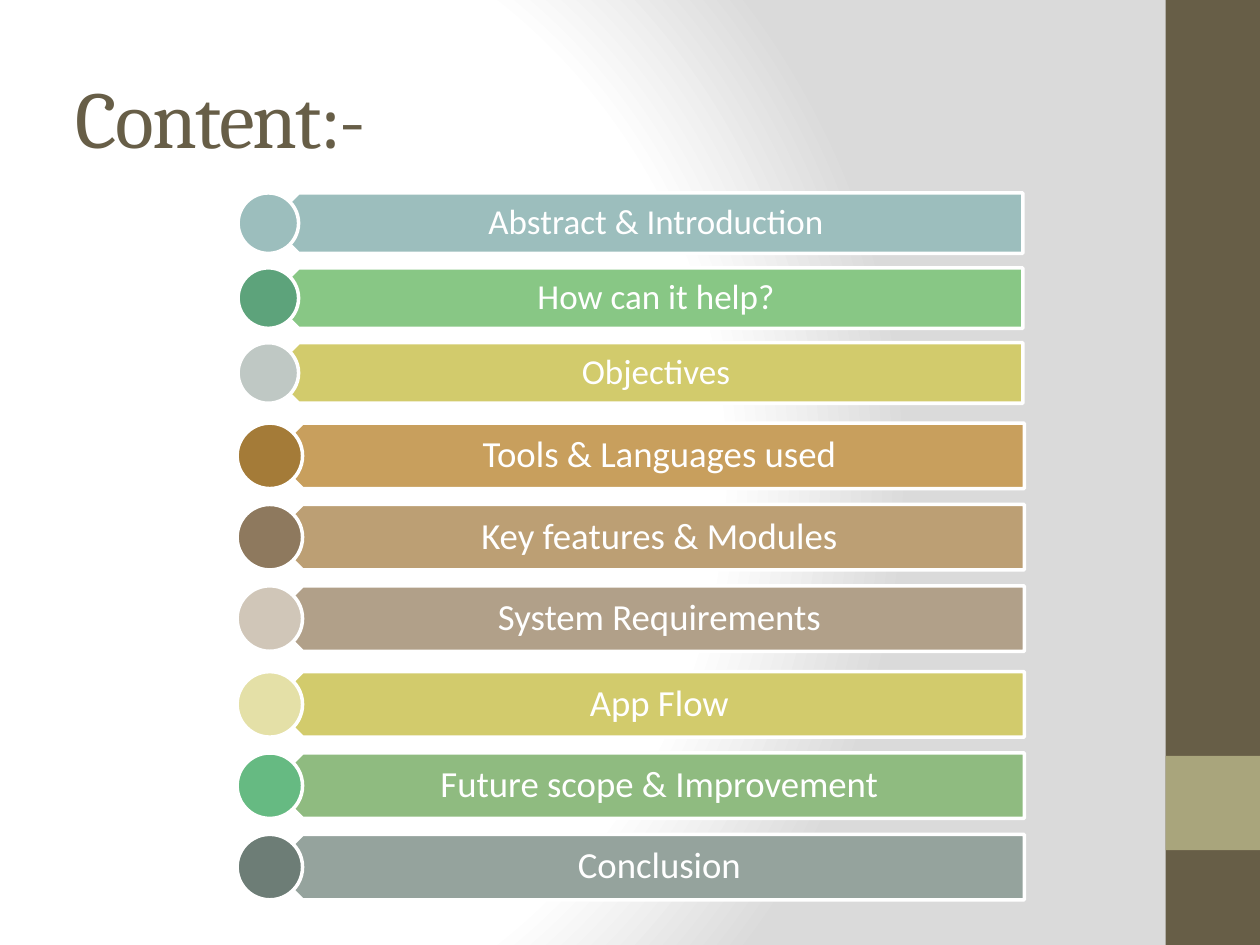
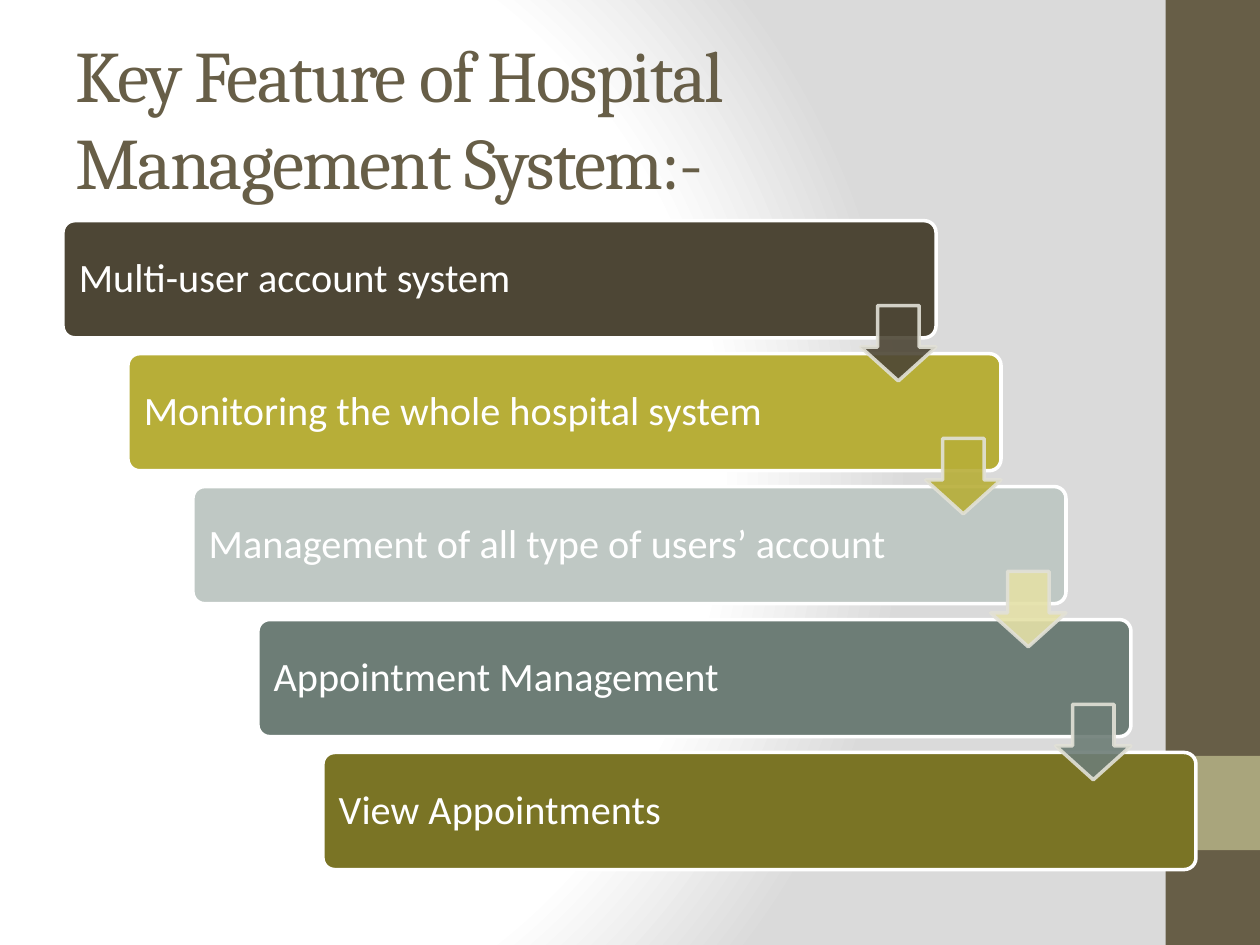
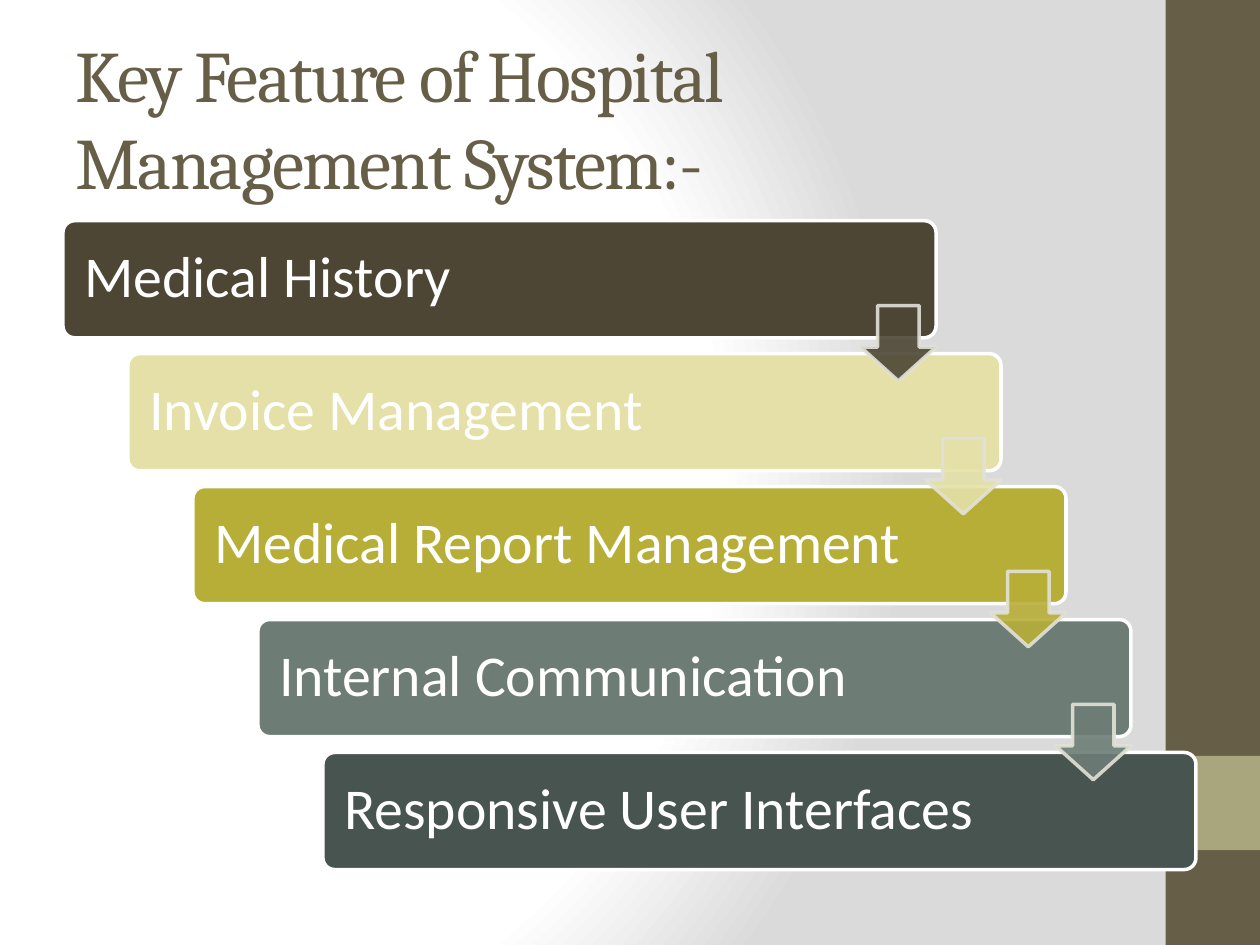
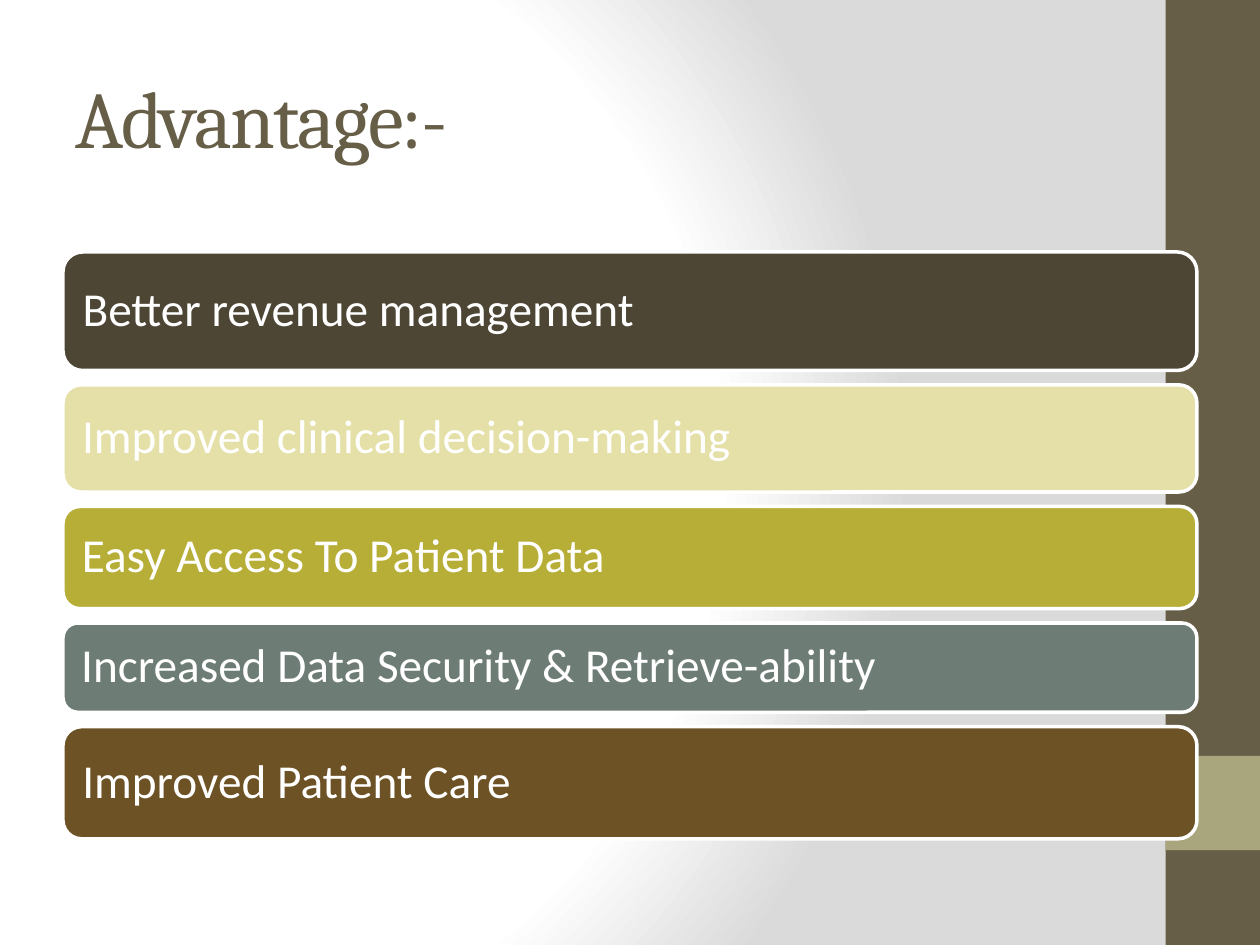
"""Build four slides that present a hospital management system."""
from dataclasses import dataclass

from lxml import etree
from pptx import Presentation
from pptx.dml.color import RGBColor
from pptx.enum.shapes import MSO_SHAPE
from pptx.enum.text import MSO_ANCHOR, PP_ALIGN
from pptx.oxml import parse_xml
from pptx.oxml.ns import nsdecls, qn
from pptx.presentation import Presentation as Deck
from pptx.shapes.autoshape import Shape
from pptx.slide import Slide
from pptx.util import Cm, Pt

RECTANGLE = MSO_SHAPE.RECTANGLE
ROUNDED = MSO_SHAPE.ROUNDED_RECTANGLE
PENTAGON = MSO_SHAPE.PENTAGON
DISC = MSO_SHAPE.OVAL
DOWN_ARROW = MSO_SHAPE.DOWN_ARROW
MIDDLE = MSO_ANCHOR.MIDDLE
LEFT = PP_ALIGN.LEFT
CENTER = PP_ALIGN.CENTER


@dataclass(frozen=True)
class Theme:
    """Colours, fonts and type sizes of the deck."""

    title_font: str = "Cambria"
    body_font: str = "Calibri"
    title_size: float = 46
    long_title_size: float = 41.4
    topic_size: float = 20
    large_topic_size: float = 21
    feature_size: float = 23
    large_feature_size: float = 33
    advantage_size: float = 27
    outline: float = 2
    white: str = "FFFFFF"
    backdrop: str = "DADADA"
    brown: str = "675E47"
    khaki: str = "A9A57C"
    dark_brown: str = "4D4635"
    olive: str = "B7AE38"
    dark_olive: str = "7A7425"
    cream: str = "E4E0A7"
    lime: str = "D2CB6C"
    mist: str = "BFC8C4"
    slate: str = "6D7D76"
    dark_slate: str = "48544F"
    umber: str = "6D5225"
    arrow_edge: str = "E2E1D7"


THEME = Theme()


@dataclass(frozen=True)
class Box:
    """A place on the slide in centimetres."""

    left: float
    top: float
    width: float
    height: float


@dataclass(frozen=True)
class Topic:
    """One line of the contents with its bar and disc colours."""

    text: str
    bar: str
    disc: str


@dataclass(frozen=True)
class TopicGroup:
    """Topics that share a bar height, a spacing and a type size."""

    center: float
    top: float
    step: float
    height: float
    size: float
    padding: tuple[float, float, float, float]
    topics: tuple[Topic, ...]


@dataclass(frozen=True)
class Feature:
    """One stair of the feature list and the colour of the arrow below it."""

    text: str
    color: str
    arrow: str = ""


@dataclass(frozen=True)
class Advantage:
    """One advantage with its colour and bar height."""

    text: str
    color: str
    height: float


LARGE_PADDING = (0.58, 0.23, 0.41, 0.23)
TOPIC_GROUPS = (
    TopicGroup(5.41, 3.89, 1.51, 1.22, THEME.topic_size, (0.53, 0.2, 0.41, 0.2), (
        Topic("Abstract & Introduction", "9CBEBD", "9CBEBD"),
        Topic("How can it help?", "88C785", "5DA37B"),
        Topic("Objectives", THEME.lime, THEME.mist),
    )),
    TopicGroup(5.44, 8.53, 1.64, 1.32, THEME.large_topic_size, LARGE_PADDING, (
        Topic("Tools & Languages used", "C89F5D", "A47B38"),
        Topic("Key features & Modules", "BC9F74", "8E795E"),
        Topic("System Requirements", "B1A089", "D0C6B8"),
    )),
    TopicGroup(5.44, 13.54, 1.64, 1.32, THEME.large_topic_size, LARGE_PADDING, (
        Topic("App Flow", THEME.lime, THEME.cream),
        Topic("Future scope & Improvement", "8FBB80", "66BA82"),
        Topic("Conclusion", "95A39D", THEME.slate),
    )),
)
FEATURE_TITLE = "Key Feature of Hospital Management System:-"
ACCOUNT_FEATURES = (
    Feature("Multi-user account system", THEME.dark_brown, THEME.dark_brown),
    Feature("Monitoring the whole hospital system", THEME.olive, THEME.olive),
    Feature("Management of all type of users’ account", THEME.mist, THEME.cream),
    Feature("Appointment Management", THEME.slate, THEME.slate),
    Feature("View Appointments", THEME.dark_olive),
)
RECORD_FEATURES = (
    Feature("Medical History", THEME.dark_brown, THEME.dark_brown),
    Feature("Invoice Management", THEME.cream, THEME.cream),
    Feature("Medical Report Management", THEME.olive, THEME.olive),
    Feature("Internal Communication", THEME.slate, THEME.slate),
    Feature("Responsive User Interfaces", THEME.dark_slate),
)
ADVANTAGES = (
    Advantage("Better revenue management", THEME.dark_brown, 2.39),
    Advantage("Improved clinical decision-making", THEME.cream, 2.16),
    Advantage("Easy Access To Patient Data", THEME.olive, 2.06),
    Advantage("Increased Data Security & Retrieve-ability", THEME.slate, 1.8),
    Advantage("Improved Patient Care", THEME.umber, 2.26),
)


def write_text(
    shape: Shape,
    text: str,
    *,
    size: float,
    font: str = THEME.body_font,
    color: str = THEME.white,
    align: PP_ALIGN = LEFT,
    padding: tuple[float, float, float, float] = (0.25, 0.13, 0.25, 0.13),
    line_spacing: float = 0.9,
    tracking: float = 0,
) -> None:
    """Write one formatted paragraph into a shape."""
    frame = shape.text_frame
    frame.word_wrap = True
    frame.vertical_anchor = MIDDLE
    frame.margin_left, frame.margin_top, frame.margin_right, frame.margin_bottom = map(Cm, padding)
    paragraph = frame.paragraphs[0]
    paragraph.alignment = align
    paragraph.line_spacing = line_spacing
    run = paragraph.add_run()
    run.text = text
    run.font.name = font
    run.font.size = Pt(size)
    run.font.color.rgb = RGBColor.from_string(color)
    if tracking:
        run.font._element.set("spc", str(int(tracking * 100)))


def add_block(
    slide: Slide, kind: MSO_SHAPE, box: Box, fill: str, outline: str = THEME.white
) -> Shape:
    """Add a filled preset shape, outlined unless the outline is empty."""
    block = slide.shapes.add_shape(
        kind, Cm(box.left), Cm(box.top), Cm(box.width), Cm(box.height)
    )
    block.shadow.inherit = False
    block.fill.solid()
    block.fill.fore_color.rgb = RGBColor.from_string(fill)
    if outline:
        block.line.color.rgb = RGBColor.from_string(outline)
        block.line.width = Pt(THEME.outline)
    else:
        block.line.fill.background()
    return block


def set_opacity(shape: Shape, percent: int) -> None:
    """Make the fill and outline of a shape partly transparent."""
    for color in list(shape.element.spPr.iter(qn("a:srgbClr"))):
        etree.SubElement(color, qn("a:alpha")).set("val", str(percent * 1000))


def set_backdrop(deck: Deck) -> None:
    """Give the slide master its radial gradient."""
    master = deck.slide_master
    master.background.fill.gradient()
    gradient = master.element.find(".//" + qn("a:gradFill"))
    stops = "".join(
        f'<a:gs pos="{percent * 1000}"><a:srgbClr val="{color}"/></a:gs>'
        for percent, color in ((0, THEME.white), (75, THEME.white), (100, THEME.backdrop))
    )
    gradient.getparent().replace(gradient, parse_xml(
        f'<a:gradFill {nsdecls("a")} rotWithShape="1"><a:gsLst>{stops}</a:gsLst>'
        '<a:path path="circle"><a:fillToRect l="20000" t="50000" r="100000" b="50000"/>'
        "</a:path></a:gradFill>"
    ))


def add_slide(
    deck: Deck, title: str, size: float = THEME.title_size, title_width: float = 21.16
) -> Slide:
    """Add a slide with the side band and a title."""
    slide = deck.slides.add_slide(deck.slide_layouts[6])
    add_block(slide, RECTANGLE, Box(23.5, 0, 1.9, 19.05), THEME.brown, "")
    add_block(slide, RECTANGLE, Box(23.5, 15.24, 1.9, 1.9), THEME.khaki, "")
    heading = slide.shapes.add_textbox(Cm(1.27), Cm(0.76), Cm(title_width), Cm(3.18))
    write_text(
        heading, title, size=size, font=THEME.title_font, color=THEME.brown,
        line_spacing=1.0, tracking=-1,
    )
    return slide


def add_topics(slide: Slide, group: TopicGroup) -> None:
    """Draw a group of topic bars, each with a disc on its left end."""
    height = group.height
    for index, topic in enumerate(group.topics):
        top = group.top + index * group.step
        bar = add_block(slide, PENTAGON, Box(group.center, top, 15.21, height), topic.bar)
        bar.element.spPr.find(qn("a:xfrm")).set("flipH", "1")
        write_text(bar, topic.text, size=group.size, align=CENTER, padding=group.padding)
        add_block(slide, DISC, Box(group.center - height / 2, top, height, height), topic.disc)


def add_stairs(
    slide: Slide, features: tuple[Feature, ...], size: float, padding: float
) -> None:
    """Draw features as descending stairs joined by arrows."""
    stairs = [
        Box(1.27 + index * 1.31, 4.45 + index * 2.68, 17.6, 2.36)
        for index in range(len(features))
    ]
    for feature, stair in zip(features, stairs):
        block = add_block(slide, ROUNDED, stair, feature.color)
        block.adjustments[0] = 0.1
        write_text(block, feature.text, size=size, padding=(padding,) * 4)
    side = 1.52
    for feature, stair in zip(features[:-1], stairs):
        place = Box(stair.left + stair.width - side, stair.top + 1.71, side, side)
        arrow = add_block(slide, DOWN_ARROW, place, feature.arrow, THEME.arrow_edge)
        arrow.adjustments[0] = 0.55
        arrow.adjustments[1] = 0.45
        set_opacity(arrow, 90)


def add_advantages(slide: Slide, advantages: tuple[Advantage, ...]) -> None:
    """Stack the advantage bars with equal gaps."""
    top = 5.08
    for advantage in advantages:
        bar = add_block(slide, ROUNDED, Box(1.27, top, 22.86, advantage.height), advantage.color)
        write_text(bar, advantage.text, size=THEME.advantage_size, padding=(0.28,) * 4)
        top += advantage.height + 0.29


def main() -> None:
    """Build and save the deck."""
    deck = Presentation()
    deck.slide_width, deck.slide_height = Cm(25.4), Cm(19.05)
    set_backdrop(deck)

    contents = add_slide(deck, "Content:-", title_width=22.86)
    for group in TOPIC_GROUPS:
        add_topics(contents, group)

    for features, size, padding in (
        (ACCOUNT_FEATURES, THEME.feature_size, 0.25),
        (RECORD_FEATURES, THEME.large_feature_size, 0.36),
    ):
        slide = add_slide(deck, FEATURE_TITLE, THEME.long_title_size)
        add_stairs(slide, features, size, padding)

    add_advantages(add_slide(deck, "Advantage:-"), ADVANTAGES)
    deck.save("out.pptx")


if __name__ == "__main__":
    main()
